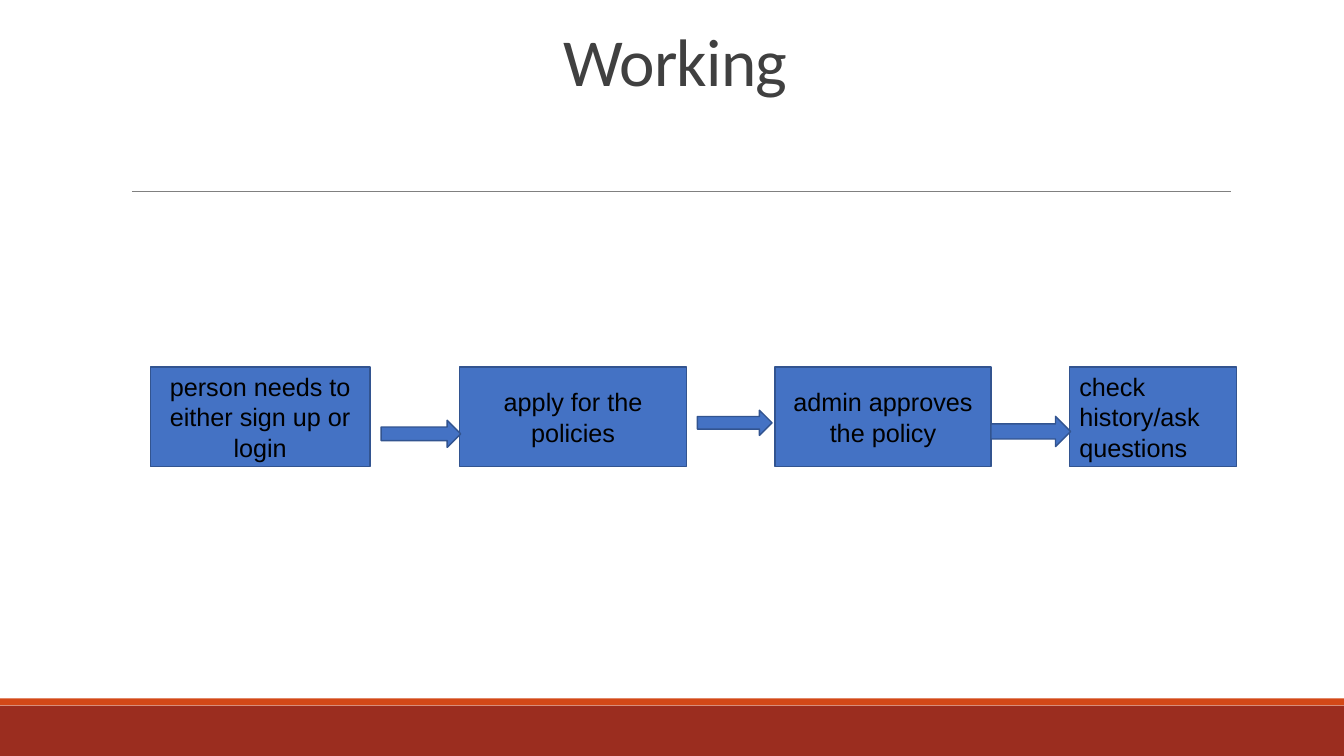
from pptx import Presentation
from pptx.dml.color import RGBColor
from pptx.enum.shapes import MSO_CONNECTOR, MSO_SHAPE
from pptx.enum.text import MSO_ANCHOR, MSO_AUTO_SIZE, PP_ALIGN
from pptx.oxml.ns import qn
from pptx.util import Pt
from lxml.etree import SubElement

COLORS = {
    "band": "9B2D1F",
    "stripe": "D34817",
    "rule": "808080",
    "title": "404040",
    "step": "4472C4",
    "outline": "325490",
    "text": "000000",
}
STEP_TOP, STEP_HEIGHT = 262.1, 71.3
STEPS = [
    ("person needs to either sign up or login", 107.3, 157, PP_ALIGN.CENTER),
    ("apply for the policies", 328.3, 162, PP_ALIGN.CENTER),
    ("admin approves the policy", 553.7, 154.1, PP_ALIGN.CENTER),
    ("check history/ask questions", 763.9, 119.5, PP_ALIGN.LEFT),
]
ARROWS = [
    (272.2, 300.2, 56.9, 19.4),
    (498.2, 293, 53.3, 18),
    (707.8, 297.4, 56.9, 21.6),
]


def color(key):
    return RGBColor.from_string(COLORS[key])


def apply_format(target, values):
    for attribute, value in values.items():
        setattr(target, attribute, value)


def add_filled(slide, kind, box, fill, outline=None):
    shape = slide.shapes.add_shape(kind, *map(Pt, box))
    shape.shadow.inherit = False
    shape.fill.solid()
    shape.fill.fore_color.rgb = color(fill)
    if outline:
        shape.line.color.rgb = color(outline)
        shape.line.width = Pt(1)
    else:
        shape.line.fill.background()
    return shape


def add_rule(slide, left, right, y):
    rule = slide.shapes.add_connector(
        MSO_CONNECTOR.STRAIGHT, Pt(left), Pt(y), Pt(right), Pt(y))
    rule.line.color.rgb = color("rule")
    rule.line.width = Pt(0.5)
    SubElement(rule._element.spPr, qn("a:effectLst"))


def write(shape, text, paragraph_format, font_format, font_color, anchor):
    frame = shape.text_frame
    apply_format(frame, {"word_wrap": True, "auto_size": MSO_AUTO_SIZE.NONE,
                         "vertical_anchor": anchor})
    paragraph = frame.paragraphs[0]
    apply_format(paragraph, paragraph_format)
    run = paragraph.add_run()
    run.text = text
    apply_format(run.font, font_format)
    run.font.color.rgb = color(font_color)
    return run


def set_title(slide, text):
    title = slide.shapes.title
    apply_format(title, {"left": Pt(86.4), "top": Pt(22.3),
                         "width": Pt(792), "height": Pt(52.6)})
    heading = write(title, text,
                    {"alignment": PP_ALIGN.CENTER, "line_spacing": 0.85},
                    {"name": "Calibri", "size": Pt(48)},
                    "title", MSO_ANCHOR.BOTTOM)
    heading.font._element.set("spc", "-50")


def add_step(slide, text, left, width, alignment):
    step = add_filled(slide, MSO_SHAPE.RECTANGLE,
                      (left, STEP_TOP, width, STEP_HEIGHT), "step", "outline")
    write(step, text, {"alignment": alignment},
          {"name": "Arial", "size": Pt(18)}, "text", MSO_ANCHOR.MIDDLE)


def main():
    deck = Presentation()
    deck.slide_width, deck.slide_height = Pt(960), Pt(540)
    slide = deck.slides.add_slide(deck.slide_layouts[5])
    add_filled(slide, MSO_SHAPE.RECTANGLE, (0, 504, 960, 36), "band")
    add_filled(slide, MSO_SHAPE.RECTANGLE, (0, 498.9, 960, 5), "stripe")
    add_rule(slide, 94.3, 879.1, 136.6)
    set_title(slide, "Working")
    for step in STEPS:
        add_step(slide, *step)
    for box in ARROWS:
        add_filled(slide, MSO_SHAPE.RIGHT_ARROW, box, "step", "outline")
    deck.save("out.pptx")


if __name__ == "__main__":
    main()
